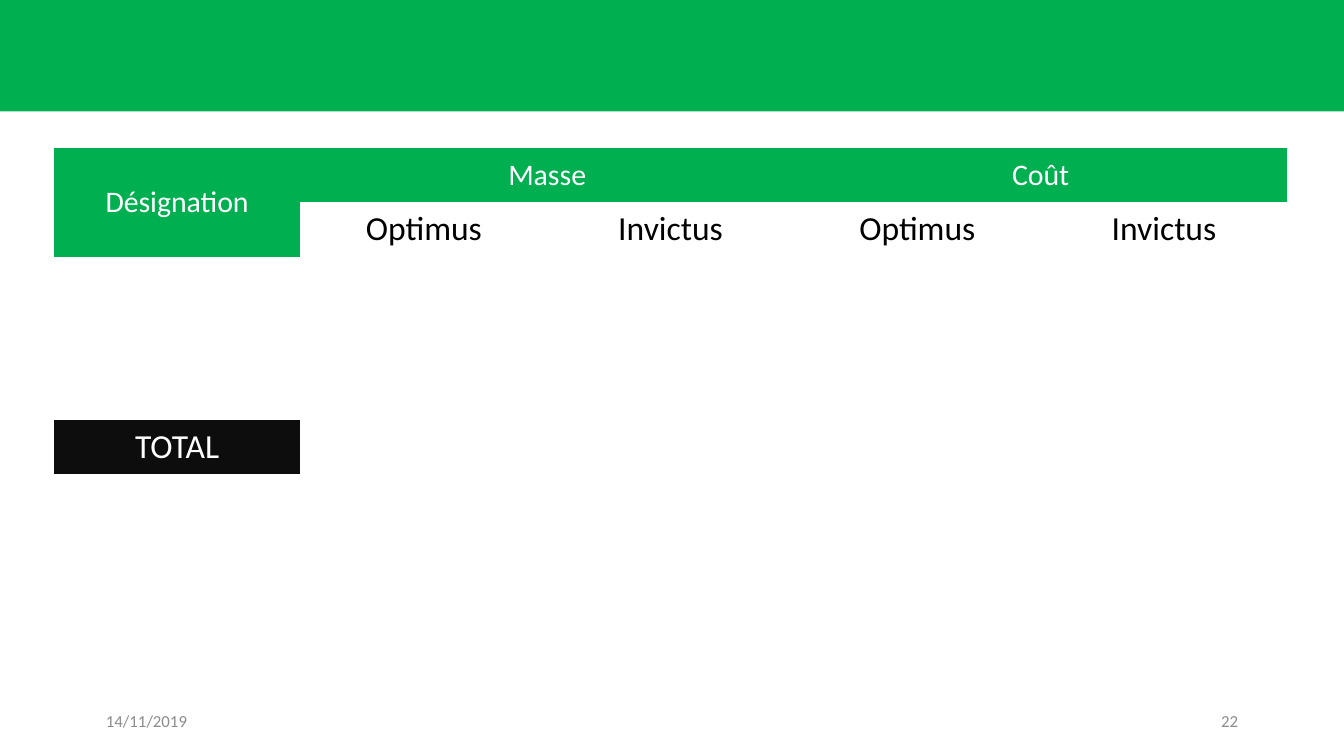
"""Build a slide comparing the mass and cost of two designs in a table."""
from dataclasses import dataclass

from pptx import Presentation
from pptx.dml.color import RGBColor
from pptx.enum.shapes import MSO_SHAPE
from pptx.enum.text import MSO_ANCHOR, PP_ALIGN
from pptx.slide import Slide
from pptx.table import Table
from pptx.text.text import TextFrame
from pptx.util import Inches, Pt

GREEN = RGBColor(0x00, 0xB0, 0x50)
NEAR_BLACK = RGBColor(0x0D, 0x0D, 0x0D)
BLACK = RGBColor(0x00, 0x00, 0x00)
WHITE = RGBColor(0xFF, 0xFF, 0xFF)
GREY = RGBColor(0x8C, 0x8C, 0x8C)
FONT = "Calibri"
NO_STYLE_NO_GRID = "{2D5ABB26-0587-4C30-8999-92F81FD0307C}"
SLIDE_WIDTH = Inches(10)
SLIDE_HEIGHT = SLIDE_WIDTH * 9 // 16
ROWS, COLUMNS = 6, 5


@dataclass(frozen=True)
class FooterItem:
    """A small text at the foot of the slide."""
    text: str
    left: float
    align: PP_ALIGN


@dataclass(frozen=True)
class Label:
    """A table cell with text, optional fill and span."""
    row: int
    column: int
    text: str
    size: int = 18
    color: RGBColor = BLACK
    fill: RGBColor | None = None
    row_span: int = 1
    column_span: int = 1


FOOTER = (
    FooterItem("14/11/2019", 0.69, PP_ALIGN.LEFT),
    FooterItem("22", 7.06, PP_ALIGN.RIGHT),
)
LABELS = (
    Label(0, 0, "Désignation", 16, WHITE, GREEN, row_span=2),
    Label(0, 1, "Masse", 16, WHITE, GREEN, column_span=2),
    Label(0, 3, "Coût", 16, WHITE, GREEN, column_span=2),
    *(Label(1, column, name)
      for column, name in enumerate(("Optimus", "Invictus") * 2, start=1)),
    Label(ROWS - 1, 0, "TOTAL", 18, WHITE, NEAR_BLACK),
)


def write_text(frame: TextFrame, text: str, *, size: int, color: RGBColor,
               align: PP_ALIGN = PP_ALIGN.CENTER) -> None:
    """Write one formatted paragraph into a text frame."""
    paragraph = frame.paragraphs[0]
    paragraph.alignment = align
    run = paragraph.add_run()
    run.text = text
    run.font.name = FONT
    run.font.size = Pt(size)
    run.font.color.rgb = color


def draw_band(slide: Slide) -> None:
    """Draw the green band across the top."""
    band = slide.shapes.add_shape(
        MSO_SHAPE.RECTANGLE, 0, 0, SLIDE_WIDTH, Inches(0.83))
    band.shadow.inherit = False
    band.fill.solid()
    band.fill.fore_color.rgb = GREEN
    band.line.fill.background()


def draw_footer_item(slide: Slide, item: FooterItem) -> None:
    """Draw a date or page number."""
    box = slide.shapes.add_textbox(
        Inches(item.left), Inches(5.21), Inches(2.25), Inches(0.3))
    frame = box.text_frame
    frame.word_wrap = True
    frame.vertical_anchor = MSO_ANCHOR.MIDDLE
    write_text(frame, item.text, size=9, color=GREY, align=item.align)


def add_plain_table(slide: Slide) -> Table:
    """Add an empty table without style, bands or fills."""
    shape = slide.shapes.add_table(
        ROWS, COLUMNS, Inches(0.4), Inches(1.1), Inches(9.18), Inches(2.43))
    shape.element.xpath(".//a:tableStyleId")[0].text = NO_STYLE_NO_GRID
    table = shape.table
    table.first_row = False
    table.horz_banding = False
    for cell in table.iter_cells():
        cell.fill.background()
    return table


def fill_label(table: Table, label: Label) -> None:
    """Merge, colour and write one labelled cell."""
    cell = table.cell(label.row, label.column)
    if label.row_span > 1 or label.column_span > 1:
        cell.merge(table.cell(label.row + label.row_span - 1,
                              label.column + label.column_span - 1))
    if label.fill is not None:
        cell.fill.solid()
        cell.fill.fore_color.rgb = label.fill
    cell.vertical_anchor = MSO_ANCHOR.MIDDLE
    write_text(cell.text_frame, label.text, size=label.size, color=label.color)


def main() -> None:
    """Build and save the presentation."""
    presentation = Presentation()
    presentation.slide_width = SLIDE_WIDTH
    presentation.slide_height = SLIDE_HEIGHT
    slide = presentation.slides.add_slide(presentation.slide_layouts[6])
    draw_band(slide)
    for item in FOOTER:
        draw_footer_item(slide, item)
    table = add_plain_table(slide)
    for label in LABELS:
        fill_label(table, label)
    presentation.save("out.pptx")


if __name__ == "__main__":
    main()
